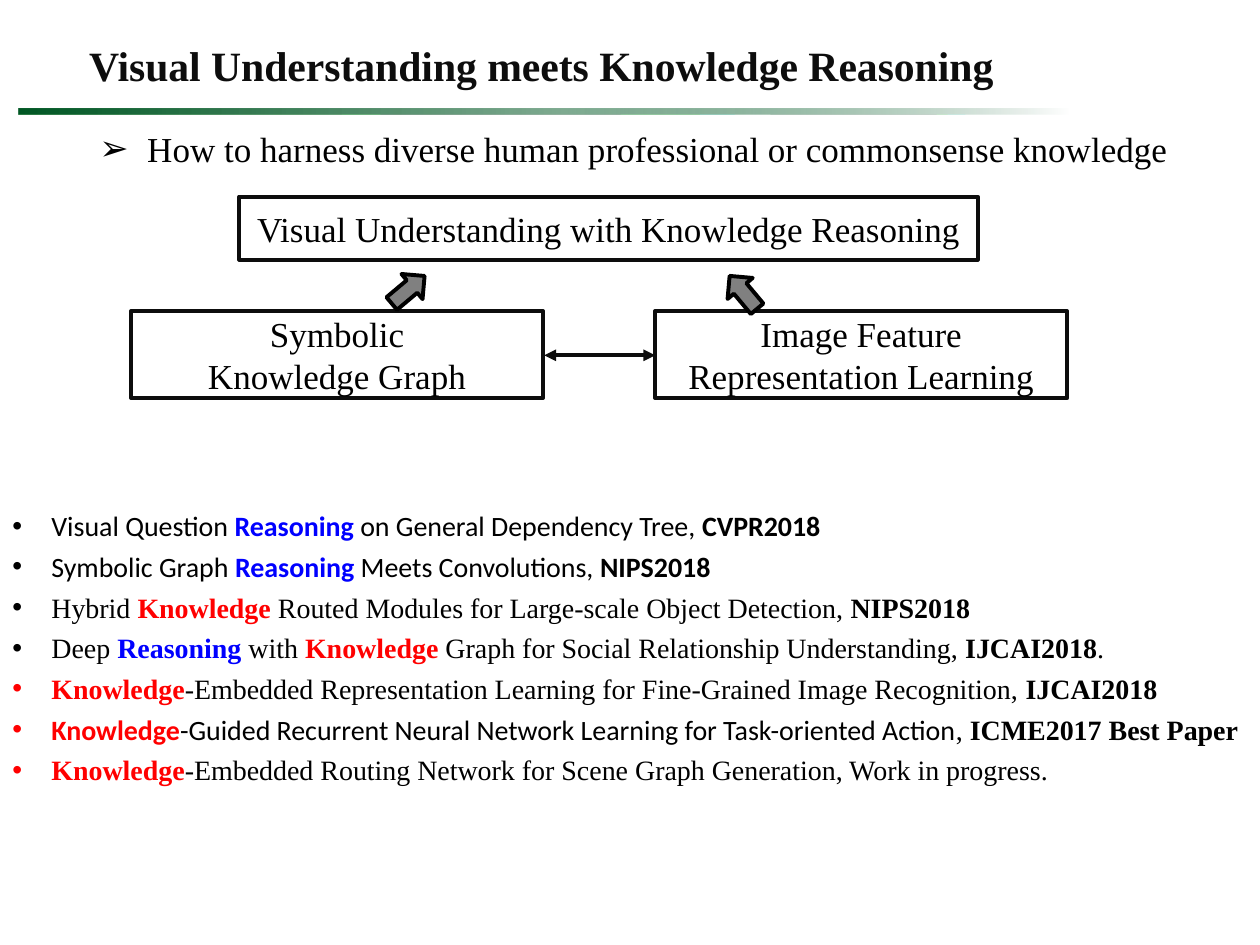
from lxml.etree import SubElement
from pptx import Presentation
from pptx.dml.color import RGBColor
from pptx.enum.shapes import MSO_CONNECTOR as Connector, MSO_SHAPE as Shape
from pptx.enum.text import MSO_ANCHOR as Anchor, PP_ALIGN as Align
from pptx.oxml import parse_xml
from pptx.oxml.ns import nsdecls, qn
from pptx.util import Inches, Pt

COLORS = {"ink": "0D0D0D", "black": "000000", "gray": "808080",
          "green": "005825", "white": "FFFFFF", "blue": "0000FF", "red": "FF0000"}
COLORS_RGB = {name: RGBColor.from_string(value) for name, value in COLORS.items()}
SERIF, SANS = "Times New Roman", "Calibri"

presentation = Presentation()
presentation.slide_width, presentation.slide_height = Inches(10), Inches(7.5)
slide = presentation.slides.add_slide(presentation.slide_layouts[6])
column, row = presentation.slide_width / 100, presentation.slide_height / 100


def add_box(left, top, width, height, preset=None):
    area = int(left * column), int(top * row), int(width * column), int(height * row)
    if preset is None:
        shape = slide.shapes.add_textbox(*area)
    else:
        shape = slide.shapes.add_shape(preset, *area)
        shape.shadow.inherit = False
        shape.fill.background()
    shape.text_frame.word_wrap = True
    return shape


def add_bullet(paragraph, symbol, indent):
    properties = paragraph._p.get_or_add_pPr()
    properties.set("marL", str(Inches(indent)))
    properties.set("indent", str(-Inches(indent)))
    SubElement(properties, qn("a:buFont")).set("typeface", "Arial")
    SubElement(properties, qn("a:buChar")).set("char", symbol)


PAPERS = [
    [("Visual Question ", "plain", SANS), ("Reasoning ", "blue", SANS),
     ("on General Dependency Tree, ", "plain", SANS), ("CVPR2018", "bold", SANS)],
    [("Symbolic Graph ", "plain", SANS), ("Reasoning ", "blue", SANS),
     ("Meets Convolutions, ", "plain", SANS), ("NIPS2018", "bold", SANS)],
    [("Hybrid ", "plain", SERIF), ("Knowledge ", "red", SERIF),
     ("Routed Modules for Large-scale Object Detection, ", "plain", SERIF),
     ("NIPS2018", "bold", SERIF)],
    [("Deep ", "plain", SERIF), ("Reasoning", "blue", SERIF), (" with ", "plain", SERIF),
     ("Knowledge", "red", SERIF),
     (" Graph for Social Relationship Understanding, ", "plain", SERIF),
     ("IJCAI2018", "bold", SERIF), (".", "plain", SERIF)],
    [("Knowledge", "red", SERIF),
     ("-Embedded Representation Learning for Fine-Grained Image Recognition, ", "plain", SERIF),
     ("IJCAI2018", "bold", SERIF)],
    [("Knowledge", "red", SANS),
     ("-Guided Recurrent Neural Network Learning for Task-oriented Action", "plain", SANS),
     (", ", "plain", SERIF), ("ICME2017 Best Paper", "bold", SERIF)],
    [("Knowledge", "red", SERIF),
     ("-Embedded Routing Network for Scene Graph Generation, Work in progress.", "plain", SERIF)],
]
paper_frame = add_box(0, 53.2, 102.7, 30.93).text_frame
for index, paper in enumerate(PAPERS):
    paragraph = paper_frame.add_paragraph() if index else paper_frame.paragraphs[0]
    add_bullet(paragraph, "•", 0.31)
    paragraph.alignment = Align.JUSTIFY
    paragraph.space_before, paragraph.space_after = Pt(2 if index else 0), Pt(2)
    paragraph.font.size = Pt(16)
    for text, style, typeface in paper:
        run = paragraph.add_run()
        run.text = text
        run.font.name = typeface
        run.font.bold = style != "plain"
        run.font.color.rgb = COLORS_RGB.get(style, COLORS_RGB["black"])

DIAGRAM = [
    (10.4, 32.93, 32.7, 9.2, "Symbolic\nKnowledge Graph"),
    (52, 32.93, 32.7, 9.2, "Image Feature Representation Learning"),
    (19, 20.8, 58.6, 6.67, "Visual Understanding with Knowledge Reasoning"),
]
for left, top, width, height, text in DIAGRAM:
    box = add_box(left, top, width, height, Shape.RECTANGLE)
    box.line.color.rgb = COLORS_RGB["ink"]
    box.line.width = Pt(2.25)
    box.text_frame.vertical_anchor = Anchor.MIDDLE
    box.text_frame.text = text
    for paragraph in box.text_frame.paragraphs:
        paragraph.alignment = Align.CENTER
        paragraph.font.name, paragraph.font.size = SERIF, Pt(20)
        paragraph.font.color.rgb = COLORS_RGB["black"]

link_level = int(37.6 * row)
link = slide.shapes.add_connector(
    Connector.STRAIGHT, int(43.2 * column), link_level, int(52 * column), link_level)
link.line.color.rgb = COLORS_RGB["ink"]
link.line.width = Pt(2.25)
for end in ("a:headEnd", "a:tailEnd"):
    SubElement(link.line._get_or_add_ln(), qn(end)).set("type", "triangle")
SubElement(link._element.spPr, qn("a:effectLst"))

for left, top, angle in [(30.7, 28.93, 320), (57.3, 29.2, 230.1)]:
    arrow = add_box(left, top, 3.4, 3.47, Shape.RIGHT_ARROW)
    arrow.rotation = angle
    arrow.fill.solid()
    arrow.fill.fore_color.rgb = COLORS_RGB["gray"]
    arrow.line.color.rgb = COLORS_RGB["black"]
    arrow.line.width = Pt(2.25)

question = add_box(6.9, 12.8, 88.9, 5.87).text_frame.paragraphs[0]
add_bullet(question, "➢", 0.38)
question.text = "How to harness diverse human professional or commonsense knowledge"
question.font.name, question.font.size = SERIF, Pt(20)
question.font.color.rgb = COLORS_RGB["black"]

title_rule = add_box(1.5, 11.47, 83.3, 0.67, Shape.RECTANGLE)
title_rule.line.fill.background()
rule_properties = title_rule._element.spPr
rule_properties.replace(rule_properties.find(qn("a:noFill")), parse_xml(
    f'<a:gradFill {nsdecls("a")}><a:gsLst>'
    f'<a:gs pos="0"><a:srgbClr val="{COLORS["green"]}"/></a:gs>'
    f'<a:gs pos="52000"><a:srgbClr val="{COLORS["green"]}"><a:alpha val="50000"/></a:srgbClr></a:gs>'
    f'<a:gs pos="100000"><a:srgbClr val="{COLORS["white"]}"/></a:gs>'
    '</a:gsLst><a:lin ang="0" scaled="0"/></a:gradFill>'))

title_frame = add_box(2.8, 0, 80.3, 12.27).text_frame
title_frame.vertical_anchor = Anchor.MIDDLE
title = title_frame.paragraphs[0]
title.text = "Visual Understanding meets Knowledge Reasoning"
title.alignment = Align.CENTER
title.line_spacing = Pt(36.6)
title.font.name, title.font.size, title.font.bold = SERIF, Pt(23.8), True
title.font.color.rgb = COLORS_RGB["ink"]

presentation.save("out.pptx")
